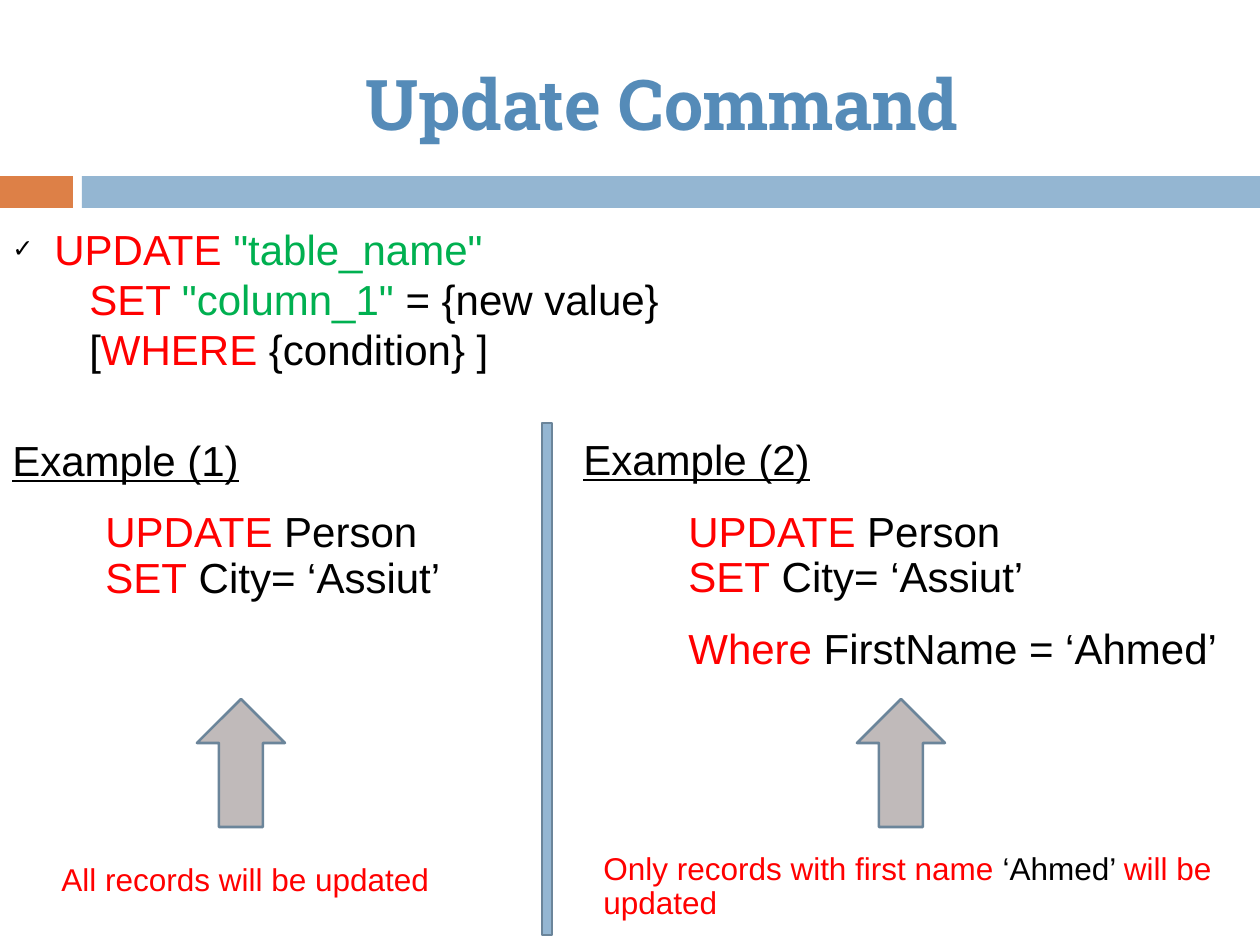
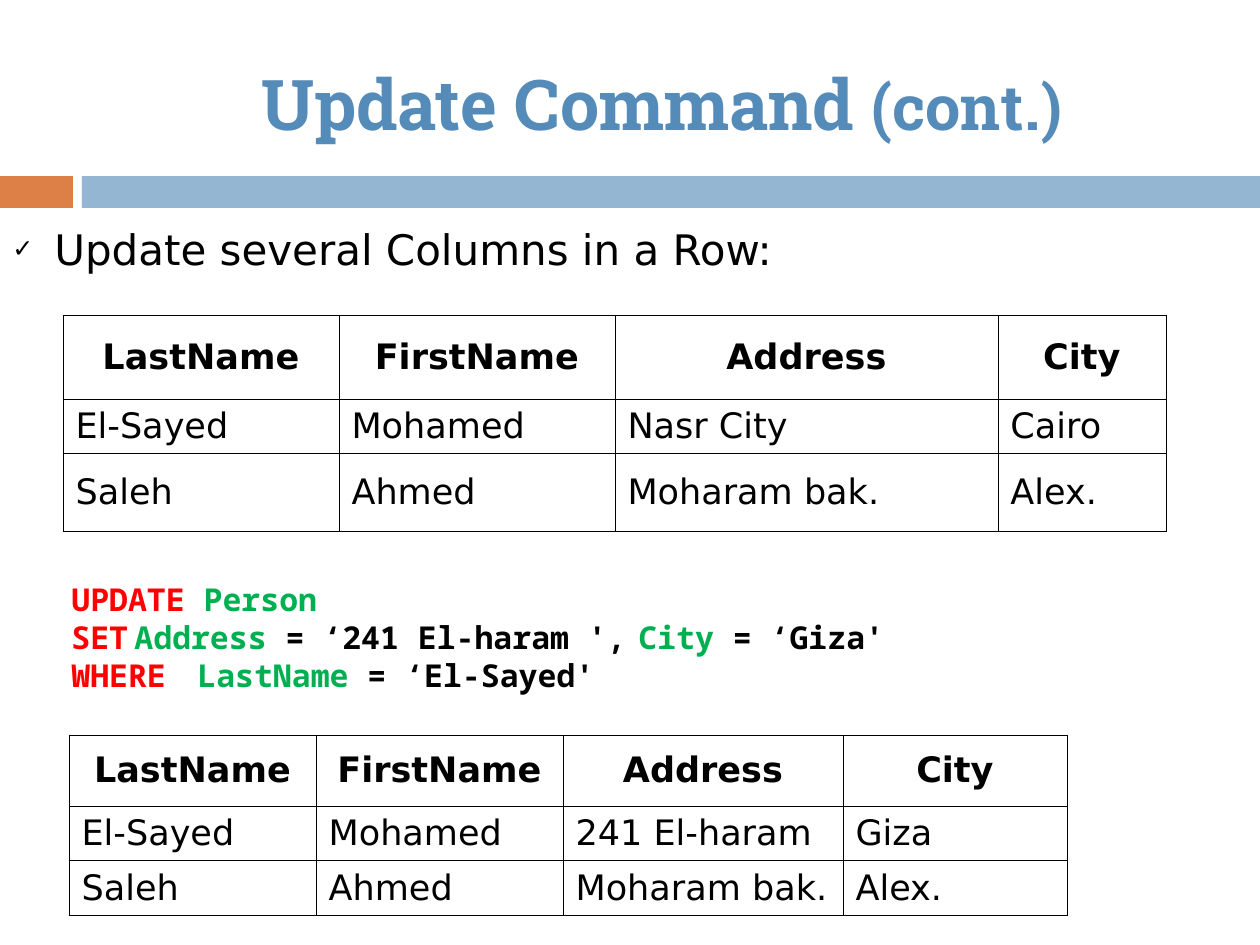
"""Build two slides that explain the SQL update command."""
from lxml.etree import SubElement
from pptx import Presentation
from pptx.dml.color import RGBColor
from pptx.enum.shapes import MSO_SHAPE as SHAPE
from pptx.enum.text import MSO_ANCHOR as ANCHOR, MSO_AUTO_SIZE as AUTO_SIZE, PP_ALIGN as ALIGN
from pptx.oxml.ns import qn
from pptx.util import Pt

PX = 914400 / 126
BLACK, RED, GREEN = "000000", "FF0000", "00B050"
BLUE, ORANGE, TITLE_BLUE = "94B6D2", "DD8047", "558BB8"
GREY, OUTLINE = "C0BABA", "6B859A"
SANS, WIDE, MONO, SLAB = "Arial", "DejaVu Sans", "Noto Sans Mono", "Roboto Slab"


def rgb(code):
    """Turn a hex string into a colour."""
    return RGBColor.from_string(code)


def write(frame, paragraphs, size=24, font=SANS, bold=False, align=ALIGN.LEFT, anchor=ANCHOR.TOP,
          leading=None, before=0, indents=(), tabs=(), bullet=None):
    """Fill a text frame with paragraphs of (text, colour, optional font changes) runs."""
    frame.word_wrap = True
    frame.vertical_anchor = anchor
    for index, runs in enumerate(paragraphs):
        paragraph = frame.add_paragraph() if index else frame.paragraphs[0]
        paragraph.alignment = align
        paragraph.line_spacing = Pt(leading) if leading else 1.0
        paragraph.space_before = Pt(before if index else 0)
        properties = paragraph._p.get_or_add_pPr()
        indent = round(indents[index] * PX) if indents else 0
        properties.set("marL", str(indent))
        properties.set("indent", "0")
        if bullet and index == 0:
            properties.set("indent", str(-indent))
            color = SubElement(properties, qn("a:buClr"))
            SubElement(color, qn("a:srgbClr"), val=BLACK)
            SubElement(properties, qn("a:buSzPct"), val="60000")
            SubElement(properties, qn("a:buFont"), typeface=SANS)
            SubElement(properties, qn("a:buChar"), char=bullet)
        else:
            SubElement(properties, qn("a:buNone"))
        if tabs and tabs[index]:
            tab_list = SubElement(properties, qn("a:tabLst"))
            for stop in tabs[index]:
                SubElement(tab_list, qn("a:tab"), pos=str(round(stop * PX)), algn="l")
        for text, color, *changes in runs:
            if text == "\n":
                paragraph.add_line_break()
                continue
            run = paragraph.add_run()
            run.text = text
            run.font.name = font
            run.font.size = Pt(size)
            run.font.bold = bold
            run.font.color.rgb = rgb(color)
            for name, value in (changes[0] if changes else {}).items():
                setattr(run.font, name, value)


presentation = Presentation()
presentation.slide_width = round(1260 * PX)
presentation.slide_height = round(945 * PX)

update_person = [("UPDATE", RED), (" Person", BLACK), ("\n", BLACK),
                 ("SET", RED), (" City= ‘Assiut’", BLACK)]
underlined = {"underline": True}
example_format = dict(leading=25.9, before=15, anchor=ANCHOR.MIDDLE)
caption_format = dict(size=18, leading=19.4)
bullet_format = dict(leading=28.8, bullet="✓")
band_shapes = [
    (SHAPE.RECTANGLE, (0, 176, 73, 32), ORANGE, None),
    (SHAPE.RECTANGLE, (82, 176, 1178, 32), BLUE, None),
]

slide_contents = [
    dict(
        title=[("Update Command", TITLE_BLUE)],
        shapes=[(SHAPE.RECTANGLE, (542, 423, 10, 512), BLUE, OUTLINE)]
        + [(SHAPE.UP_ARROW, (left, 699, 88, 128), GREY, OUTLINE) for left in (197, 857)],
        texts=[
            ((0, 217, 1260, 241),
             [[("UPDATE ", RED), ('"table_name"', GREEN)],
              [("SET ", RED), ('"column_1" ', GREEN), ("= {new value}", BLACK)],
              [("[", BLACK), ("WHERE", RED), (" {condition} ]", BLACK)]],
             dict(bullet_format, indents=(42, 77, 77))),
            ((0, 433, 493, 175),
             [[("Example (1)", BLACK, underlined)], update_person],
             dict(example_format, indents=(0, 93))),
            ((571, 432, 679, 247),
             [[("Example (2)", BLACK, underlined)], update_person,
              [("Where", RED), (" FirstName = ‘Ahmed’", BLACK)]],
             dict(example_format, indents=(0, 105, 105))),
            ((49, 858, 423, 47), [[("All records will be updated", RED)]], caption_format),
            ((591, 847, 709, 81),
             [[("Only records with first name ", RED), ("‘Ahmed’ ", BLACK),
               ("will be updated", RED)]], caption_format),
        ],
        tables=[],
    ),
    dict(
        title=[("Update Command ", TITLE_BLUE), ("(cont.)", TITLE_BLUE, {"size": Pt(36)})],
        shapes=[],
        texts=[
            ((0, 217, 1260, 140), [[("Update several Columns in a Row:", BLACK)]],
             dict(bullet_format, font=WIDE, indents=(42,))),
            ((59, 574, 1063, 126),
             [[("UPDATE ", RED), ("Person", GREEN)],
              [("SET\t", RED), ("Address", GREEN), (" = ‘241 El-haram ',\t", BLACK),
               ("City", GREEN), (" = ‘Giza'", BLACK)],
              [("WHERE\t", RED), ("LastName", GREEN), (" = ‘El-Sayed'", BLACK)]],
             dict(size=18, font=MONO, bold=True, leading=21.6,
                  tabs=((), (227, 756), (151,)))),
        ],
        tables=[
            (63, 315, (276, 276, 383, 168), (84, 54, 78), ("Nasr City", "Cairo")),
            (69, 735, (247, 247, 280, 224), (71, 54, 54), ("241 El-haram", "Giza")),
        ],
    ),
]

for content in slide_contents:
    slide = presentation.slides.add_slide(presentation.slide_layouts[5])
    title = slide.shapes.title
    title.left, title.top, title.width, title.height = (
        round(length * PX) for length in (64, 54, 1196, 97))
    write(title.text_frame, [content["title"]], size=40, font=SLAB, bold=True,
          align=ALIGN.CENTER, leading=48)
    title.text_frame.auto_size = AUTO_SIZE.NONE

    for kind, box, fill, outline in band_shapes + content["shapes"]:
        shape = slide.shapes.add_shape(kind, *(round(length * PX) for length in box))
        shape.shadow.inherit = False
        shape.fill.solid()
        shape.fill.fore_color.rgb = rgb(fill)
        if outline:
            shape.line.color.rgb = rgb(outline)
            shape.line.width = Pt(1.5)
        else:
            shape.line.fill.background()

    for box, paragraphs, text_format in content["texts"]:
        text_box = slide.shapes.add_textbox(*(round(length * PX) for length in box))
        write(text_box.text_frame, paragraphs, **text_format)

    for left, top, widths, heights, new_values in content["tables"]:
        records = [("LastName", "FirstName", "Address", "City"),
                   ("El-Sayed", "Mohamed", *new_values),
                   ("Saleh", "Ahmed", "Moharam bak.", "Alex.")]
        box = (left, top, sum(widths), sum(heights))
        table = slide.shapes.add_table(3, 4, *(round(length * PX) for length in box)).table
        table.first_row = table.horz_banding = False
        for column, width in zip(table.columns, widths):
            column.width = round(width * PX)
        for row_index, (row, height, record) in enumerate(zip(table.rows, heights, records)):
            row.height = round(height * PX)
            is_header = row_index == 0
            for cell, value in zip(row.cells, record):
                write(cell.text_frame, [[(value, BLACK)]], size=20, font=WIDE, bold=is_header,
                      align=ALIGN.CENTER if is_header else ALIGN.LEFT)
                cell.vertical_anchor = ANCHOR.MIDDLE
                cell_properties = cell._tc.get_or_add_tcPr()
                for side in ("a:lnL", "a:lnR", "a:lnT", "a:lnB"):
                    border = SubElement(cell_properties, qn(side), w=str(Pt(0.34)))
                    border_fill = SubElement(border, qn("a:solidFill"))
                    SubElement(border_fill, qn("a:srgbClr"), val=BLACK)
                cell.fill.background()

presentation.save("out.pptx")
